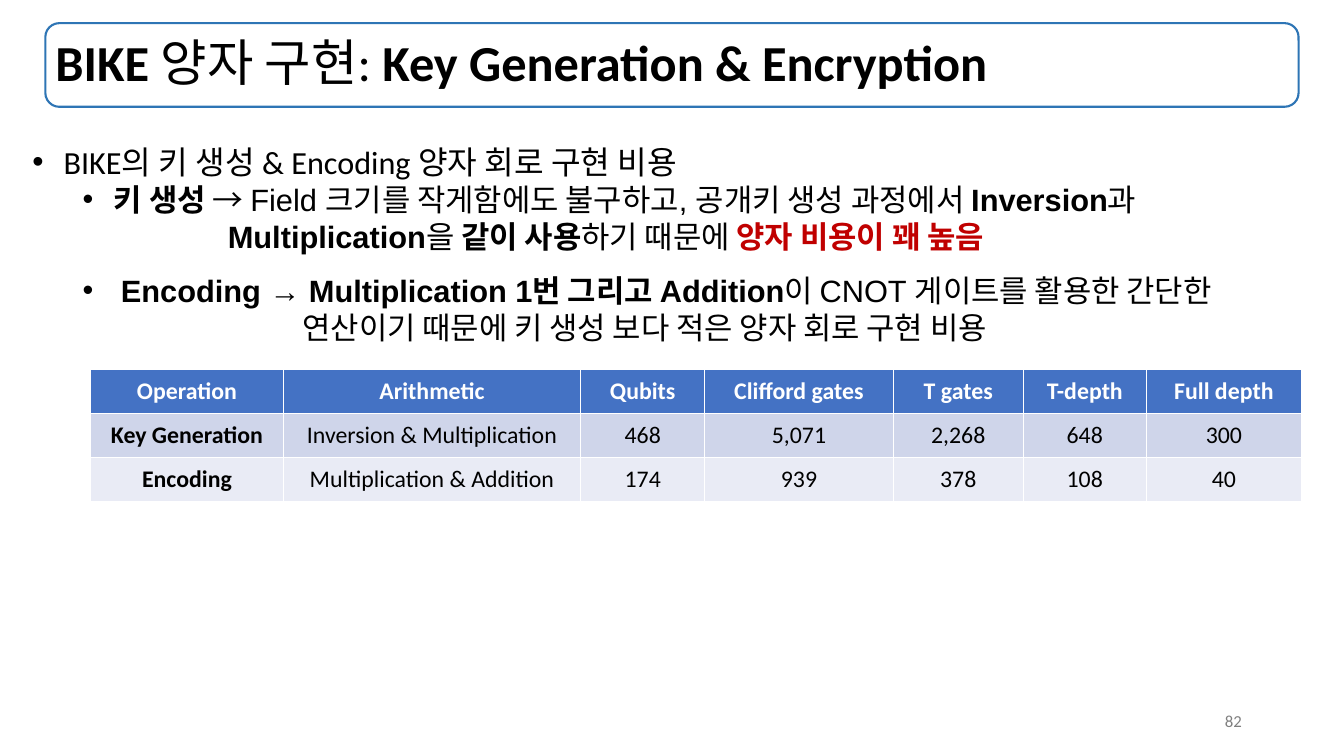
from typing import NamedTuple

from lxml import etree
from pptx import Presentation
from pptx.dml.color import RGBColor
from pptx.enum import shapes, text
from pptx.oxml import ns
from pptx.util import Inches, Pt

BLACK, RED, WHITE = "000000", "C00000", "FFFFFF"


class Bit(NamedTuple):
    words: str
    bold: bool = False
    color: str = BLACK


class Line(NamedTuple):
    bits: list[Bit]
    left: float
    hang: float = 0
    level: int = 1
    size: int = 22
    face: str = "Arial"
    before: int = 0


TITLE = [Bit("BIKE ", True), Bit("양자 구현: "), Bit("Key Generation & Encryption", True)]
LINES = [
    Line([Bit("BIKE의 키 생성 & Encoding 양자 회로 구현 비용")],
         0.31, 0.31, level=0, size=23, face="Calibri"),
    Line([Bit("키 생성 ", True),
          Bit("→ Field 크기를 작게함에도 불구하고, 공개키 생성 과정에서 "),
          Bit("Inversion", True), Bit("과")], 0.81, 0.31),
    Line([Bit("Multiplication", True), Bit("을"), Bit(" 같이 사용", True),
          Bit("하기 때문에 "), Bit("양자 비용이 꽤 높음", True, RED)], 1.94),
    Line([Bit("Encoding ", True), Bit("→ "),
          Bit("Multiplication 1번 그리고 Addition", True),
          Bit("이 CNOT 게이트를 활용한 간단한")], 0.88, 0.38, before=12),
    Line([Bit("연산이기 때문에 키 생성 보다 적은 양자 회로 구현 비용")], 2.68, level=4),
]
COLS = [1.91, 2.95, 1.23, 1.87, 1.29, 1.22, 1.54]
ROWS = [
    ["Operation", "Arithmetic", "Qubits", "Clifford gates", "T gates", "T-depth", "Full depth"],
    ["Key Generation", "Inversion & Multiplication", "468", "5,071", "2,268", "648", "300"],
    ["Encoding", "Multiplication & Addition", "174", "939", "378", "108", "40"],
]
FILLS = ["4472C4", "CFD5EA", "E9EBF5"]
HEAD = (0.45, 0.23, 12.43, 0.83)


def rgb(code: str) -> RGBColor:
    return RGBColor.from_string(code)


def style(font, size: float, color: str, bold: bool = False, face: str = "Calibri") -> None:
    font.size, font.bold, font.name = Pt(size), bold, face
    font.color.rgb = rgb(color)


def place(shape, left: float, top: float, width: float, height: float) -> None:
    shape.left, shape.top = Inches(left), Inches(top)
    shape.width, shape.height = Inches(width), Inches(height)


def write(para, bits: list[Bit], size: float, face: str = "Calibri") -> None:
    for bit in bits:
        run = para.add_run()
        run.text = bit.words
        style(run.font, size, bit.color, bit.bold, face)


def indent(para, line: Line) -> None:
    """Set the left margin, and a hanging bullet where the line has one."""
    props = para._p.get_or_add_pPr()
    props.set("marL", str(Inches(line.left)))
    props.set("indent", str(-Inches(line.hang)))
    if line.hang:
        etree.SubElement(props, ns.qn("a:buFont")).set("typeface", "Arial")
        etree.SubElement(props, ns.qn("a:buChar")).set("char", "•")
    else:
        etree.SubElement(props, ns.qn("a:buNone"))


def add_title(slide) -> None:
    box = slide.shapes.add_shape(shapes.MSO_SHAPE.ROUNDED_RECTANGLE, *map(Inches, HEAD))
    box.shadow.inherit = False
    box.fill.background()
    box.line.color.rgb = rgb("2E75B5")
    box.line.width = Pt(1.5)

    title = slide.shapes.title
    place(title, *HEAD)
    frame = title.text_frame
    frame.auto_size = text.MSO_AUTO_SIZE.NONE
    frame.vertical_anchor = text.MSO_ANCHOR.MIDDLE
    para = frame.paragraphs[0]
    para.alignment = text.PP_ALIGN.LEFT
    para.line_spacing = 0.9
    write(para, TITLE, 36)


def add_table(slide) -> None:
    spot = map(Inches, (0.9, 3.66, sum(COLS), 1.31))
    table = slide.shapes.add_table(len(ROWS), len(COLS), *spot).table
    for col, width in zip(table.columns, COLS):
        col.width = Inches(width)
    for r, (row, fill) in enumerate(zip(ROWS, FILLS)):
        table.rows[r].height = Inches(0.44)
        for c, words in enumerate(row):
            cell = table.cell(r, c)
            cell.fill.solid()
            cell.fill.fore_color.rgb = rgb(fill)
            cell.vertical_anchor = text.MSO_ANCHOR.MIDDLE
            para = cell.text_frame.paragraphs[0]
            para.alignment = text.PP_ALIGN.CENTER
            color = BLACK if r else WHITE
            write(para, [Bit(words, r == 0 or c == 0, color)], 17)


def add_body(slide) -> None:
    body = slide.placeholders[1]
    place(body, 0.22, 1.36, 12.76, 2.14)
    frame = body.text_frame
    frame.word_wrap = True
    frame.auto_size = text.MSO_AUTO_SIZE.NONE
    for i, line in enumerate(LINES):
        para = frame.add_paragraph() if i else frame.paragraphs[0]
        para.level = line.level
        indent(para, line)
        para.space_before = Pt(line.before)
        write(para, line.bits, line.size, line.face)


def add_number(slide) -> None:
    box = slide.shapes.add_textbox(*map(Inches, (12.05, 7, 0.41, 0.4)))
    box.text_frame.word_wrap = True
    write(box.text_frame.paragraphs[0], [Bit("82", color="808080")], 12)


def main() -> None:
    deck = Presentation()
    deck.slide_width, deck.slide_height = Inches(13.33), Inches(7.5)
    slide = deck.slides.add_slide(deck.slide_layouts[1])
    add_title(slide)
    add_table(slide)
    add_body(slide)
    add_number(slide)
    deck.save("out.pptx")


if __name__ == "__main__":
    main()
